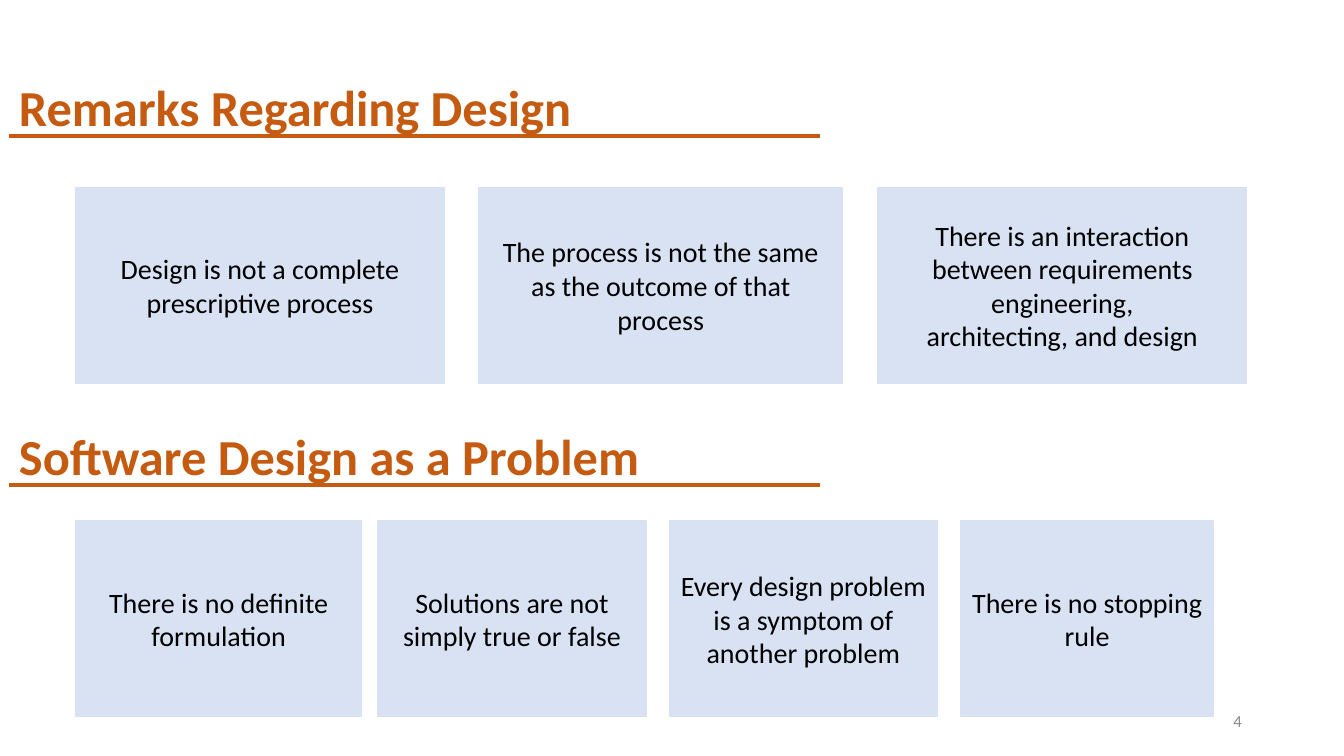
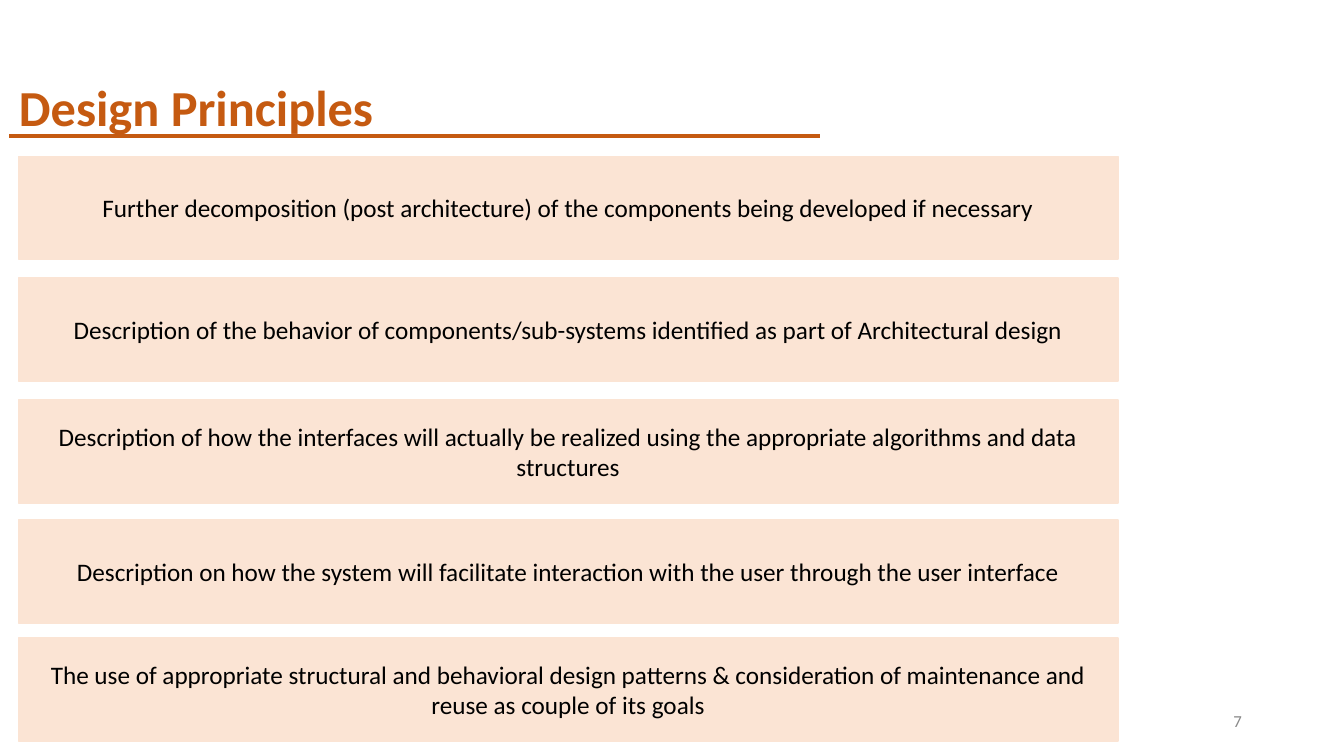
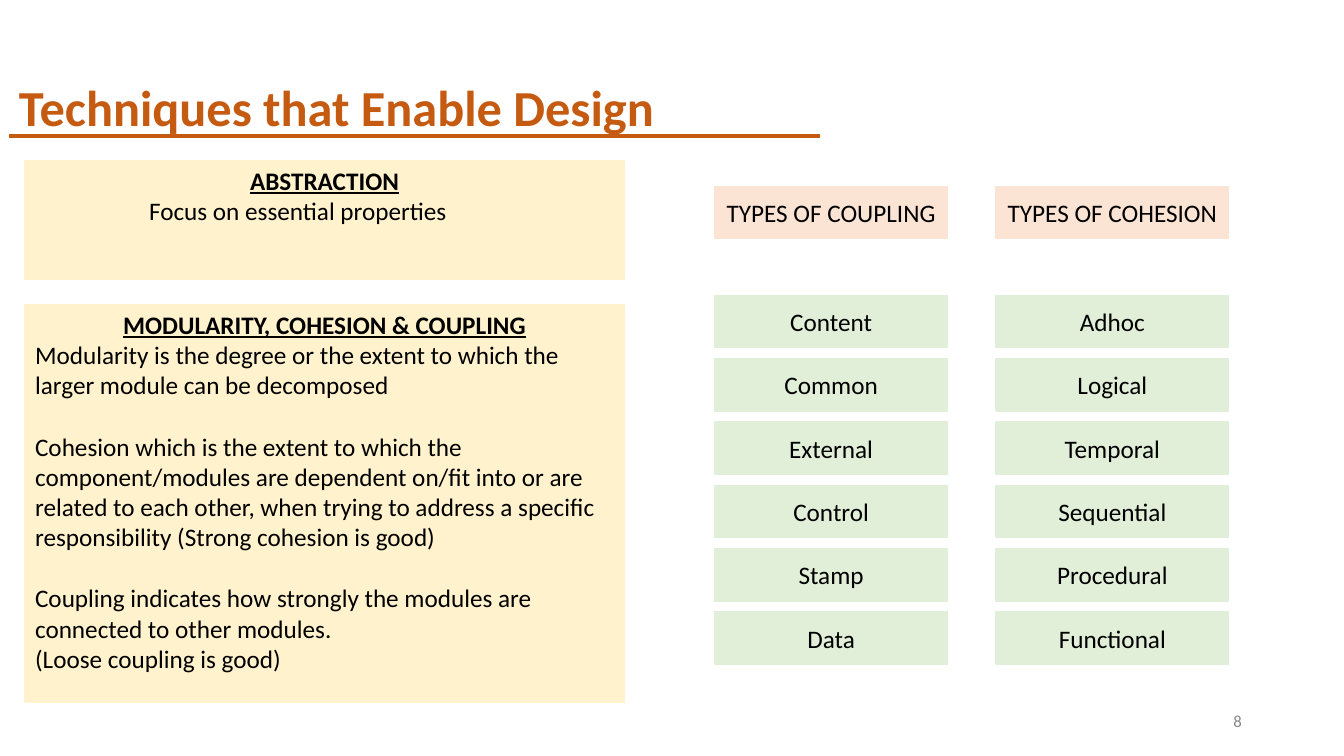
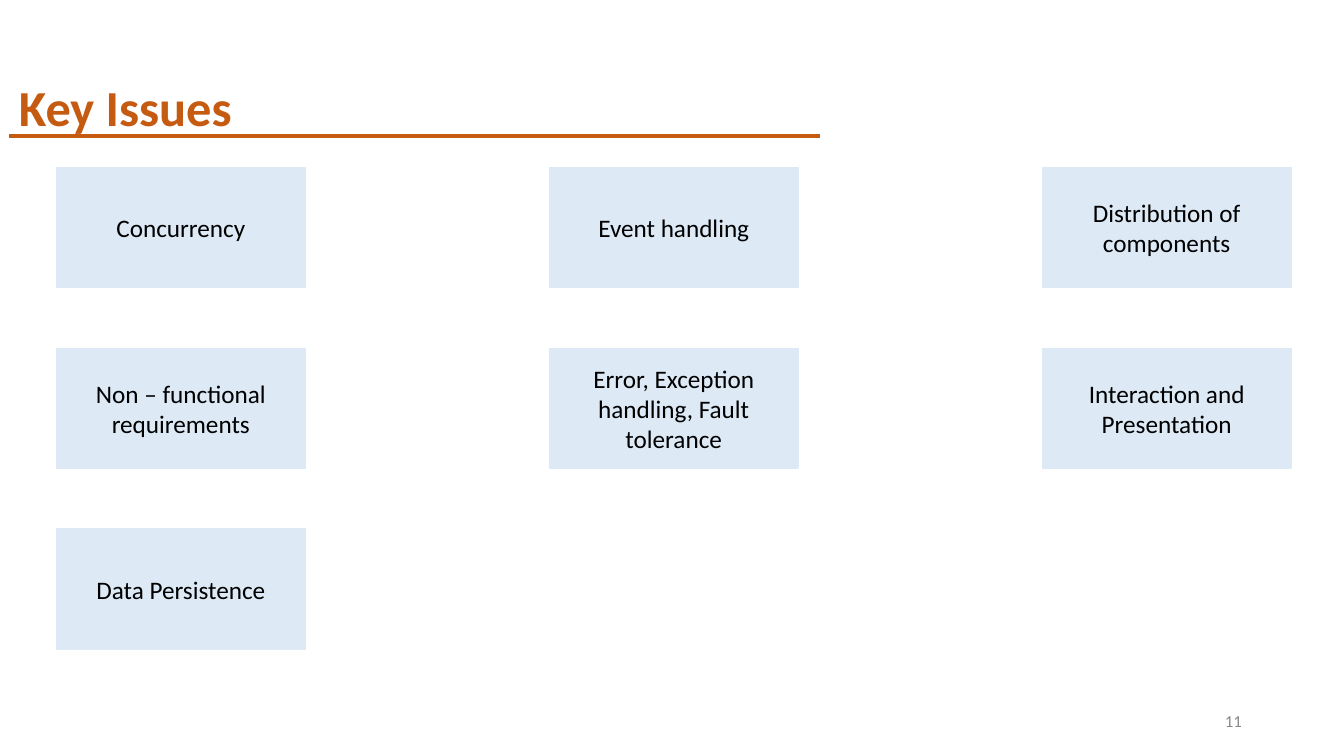
from pptx import Presentation
from pptx.dml.color import RGBColor
from pptx.enum.shapes import MSO_CONNECTOR, MSO_SHAPE
from pptx.enum.text import MSO_ANCHOR, PP_ALIGN
from pptx.oxml.ns import qn
from pptx.util import Pt

ORANGE = RGBColor(0xC5, 0x5A, 0x11)
GREY = RGBColor(0x88, 0x88, 0x88)
BLACK = RGBColor(0x00, 0x00, 0x00)
PERIWINKLE = RGBColor(0xD8, 0xE2, 0xF3)
PEACH = RGBColor(0xFB, 0xE4, 0xD4)
CREAM = RGBColor(0xFF, 0xF2, 0xCC)
GREEN = RGBColor(0xE1, 0xEF, 0xD8)
SKY = RGBColor(0xDD, 0xEA, 0xF6)

FONT = "Calibri"
TITLE_TOP = 51


def write(shape, text, size, color=BLACK, align=PP_ALIGN.LEFT,
          anchor=MSO_ANCHOR.TOP, bold=False):
    """Fill a shape with text, one paragraph a line, in one style."""
    frame = shape.text_frame
    frame.word_wrap = True
    frame.vertical_anchor = anchor
    frame.text = text
    for para in frame.paragraphs:
        para.alignment = align
        for span in para.runs:
            font = span.font
            font.name, font.size, font.bold = FONT, Pt(size), bold
            font.color.rgb = color
    return frame.paragraphs


def add_text(page, box, text, size, color, **style):
    write(page.shapes.add_textbox(*map(Pt, box)), text, size, color, **style)


def add_card(page, box, text, color, size=18, align=PP_ALIGN.CENTER,
             anchor=MSO_ANCHOR.MIDDLE):
    card = page.shapes.add_shape(MSO_SHAPE.RECTANGLE, *map(Pt, box))
    card.shadow.inherit = False
    card.fill.solid()
    card.fill.fore_color.rgb = color
    card.line.color.rgb = color
    card.line.width = Pt(1)
    return write(card, text, size, align=align, anchor=anchor)


def add_heading(page, text, top=TITLE_TOP):
    """Place a title and the rule below it."""
    left, rule_right, rule_top = 6.5, 586, top + 46.4
    add_text(page, (left, top, 570, 44), text, 36, ORANGE, bold=True)
    rule = page.shapes.add_connector(
        MSO_CONNECTOR.STRAIGHT, Pt(left), Pt(rule_top), Pt(rule_right), Pt(rule_top))
    rule.line.color.rgb = ORANGE
    rule.line.width = Pt(3)
    properties = rule._element.spPr
    properties.append(properties.makeelement(qn("a:effectLst"), {}))


def add_page(deck, title, number):
    page = deck.slides.add_slide(deck.slide_layouts[6])
    add_heading(page, title)
    add_text(page, (678.2, 500.4, 216, 28.8), str(number), 12, GREY,
             align=PP_ALIGN.RIGHT, anchor=MSO_ANCHOR.MIDDLE)
    return page


def add_row(page, top, cards):
    """Place a row of cards, each given as left, width and text."""
    for left, width, text in cards:
        add_card(page, (left, top, width, 139.7), text, PERIWINKLE, size=20)


def add_panel(page, box, heading, text):
    """Place a panel with an underlined heading and return its body paragraphs."""
    head, *body = add_card(page, box, f"{heading}\n{text}", CREAM,
                           align=PP_ALIGN.LEFT, anchor=MSO_ANCHOR.TOP)
    head.alignment = PP_ALIGN.CENTER
    head.runs[0].font.bold = True
    head.runs[0].font.underline = True
    return body


def add_type_list(page, left, top, heading, names):
    """Place a heading card with a stack of cards below it."""
    width, height, first, pitch = 166.3, 37.4, 77.8, 45.2
    add_card(page, (left, top, width, height), heading, PEACH)
    for index, name in enumerate(names):
        add_card(page, (left, top + first + index * pitch, width, height), name, GREEN)


def add_grid(page, left, top, names, columns=3):
    for index, name in enumerate(names):
        row, column = divmod(index, columns)
        add_card(page, (left + column * 352.1, top + row * 129.2, 177.8, 85.7),
                 name, SKY)


def remarks_page(deck):
    page = add_page(deck, "Remarks Regarding Design", 4)
    add_row(page, 134, [
        (54, 263.5, "Design is not a complete prescriptive process"),
        (342, 260, "The process is not the same as the outcome of that process"),
        (627.1, 263.5, "There is an interaction between requirements engineering,\n"
                       "architecting, and design"),
    ])
    add_heading(page, "Software Design as a Problem", top=299.8)
    add_row(page, 372.2, [
        (54, 204.5, "There is no definite formulation"),
        (270, 191.5, "Solutions are not simply true or false"),
        (478.1, 191.5, "Every design problem is a symptom of another problem"),
        (686.2, 180.7, "There is no stopping rule"),
    ])


def principles_page(deck):
    page = add_page(deck, "Design Principles", 7)
    principles = [
        (111.6, "Further decomposition (post architecture) of the components being "
                "developed if necessary"),
        (198.7, "Description of the behavior of components/sub-systems identified as "
                "part of Architectural design"),
        (285.8, "Description of how the interfaces will actually be realized using "
                "the appropriate algorithms and data structures"),
        (371.5, "Description on how the system will facilitate interaction with the "
                "user through the user interface"),
        (455.8, "The use of appropriate structural and behavioral design patterns & "
                "consideration of maintenance and reuse as couple of its goals"),
    ]
    for top, text in principles:
        add_card(page, (13, top, 785.5, 73.4), text, PEACH)


def techniques_page(deck):
    page = add_page(deck, "Techniques that Enable Design", 8)
    left, width = 18, 427.7
    focus, = add_panel(page, (left, 114.5, width, 85), "ABSTRACTION",
                       "Focus on essential properties")
    focus._p.get_or_add_pPr().set("marL", str(Pt(81.4)))
    _, cohesion, coupling, _ = add_panel(
        page, (left, 217.4, width, 284.4), "MODULARITY, COHESION & COUPLING",
        "Modularity is the degree or the extent to which the larger module can be "
        "decomposed\n"
        "Cohesion which is the extent to which the component/modules are dependent "
        "on/fit into or are related to each other, when trying to address a specific "
        "responsibility (Strong cohesion is good)\n"
        "Coupling indicates how strongly the modules are connected to other modules.\n"
        "(Loose coupling is good)")
    for para in (cohesion, coupling):
        para.space_before = Pt(22)
    add_type_list(page, 510.5, 133.2, "TYPES OF COUPLING",
                  ["Content", "Common", "External", "Control", "Stamp", "Data"])
    add_type_list(page, 711.4, 133.2, "TYPES OF COHESION",
                  ["Adhoc", "Logical", "Temporal", "Sequential", "Procedural",
                   "Functional"])


def issues_page(deck):
    page = add_page(deck, "Key Issues", 11)
    add_grid(page, 40.3, 119.5, [
        "Concurrency", "Event handling", "Distribution of components",
        "Non – functional requirements", "Error, Exception handling, Fault tolerance",
        "Interaction and Presentation", "Data Persistence",
    ])


def main():
    deck = Presentation()
    deck.slide_width, deck.slide_height = Pt(960), Pt(540)
    for build in (remarks_page, principles_page, techniques_page, issues_page):
        build(deck)
    deck.save("out.pptx")


if __name__ == "__main__":
    main()
